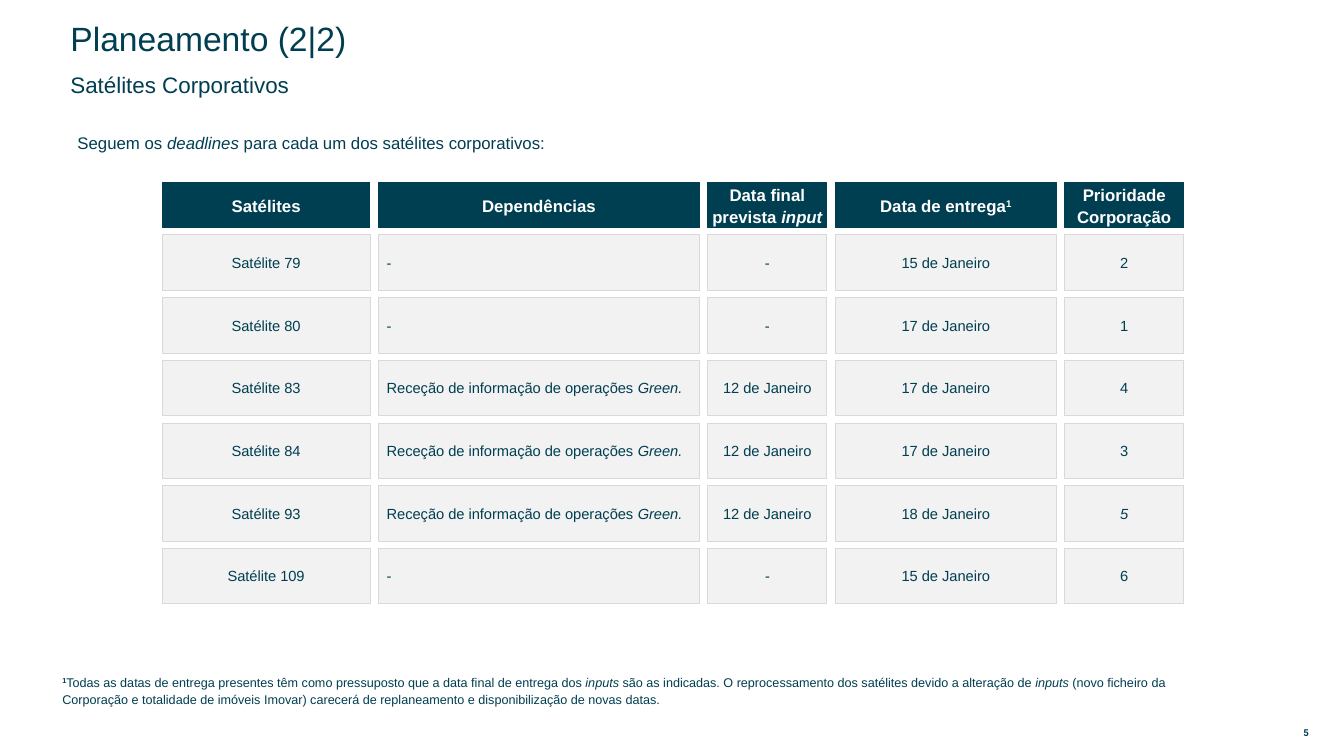
from pptx import Presentation
from pptx import util as u
from pptx.dml.color import RGBColor
from pptx.enum import shapes, text

LEFT, MID = text.PP_ALIGN.LEFT, text.PP_ALIGN.CENTER
NAVY, WHITE, PALE, GREY = "003E51", "FFFFFF", "F2F2F2", "D9D9D9"


def color(code):
    return RGBColor.from_string(code)


class Page:
    face = "Arial"

    def __init__(self, deck):
        self.wide, self.high = deck.slide_width, deck.slide_height
        self.items = deck.slides.add_slide(deck.slide_layouts[6]).shapes

    def place(self, left, top, width, height):
        return (round(self.wide * left / 100), round(self.high * top / 100),
                round(self.wide * width / 100), round(self.high * height / 100))

    def letter(self, shape, words, size, ink=NAVY, bold=False, align=LEFT,
               space=1.0, pad=(0.1, 0.05), face=None, mid=True):
        frame = shape.text_frame
        frame.word_wrap = True
        frame.vertical_anchor = text.MSO_ANCHOR.MIDDLE if mid else text.MSO_ANCHOR.TOP
        frame.margin_left = frame.margin_right = u.Inches(pad[0])
        frame.margin_top = frame.margin_bottom = u.Inches(pad[1])
        para = frame.paragraphs[0]
        para.alignment, para.line_spacing = align, space
        font = para.font
        font.name, font.size, font.bold = face or self.face, u.Pt(size), bold
        font.color.rgb = color(ink)
        for i, part in enumerate(words.split("*")):
            for j, piece in enumerate(part.split("^")):
                if piece:
                    run = para.add_run()
                    run.text = piece
                    if i % 2:
                        run.font.italic = True
                    if j % 2:
                        run.font.bold = True
                        run.font._element.set("baseline", "30000")

    def label(self, spot, words, size, **style):
        self.letter(self.items.add_textbox(*self.place(*spot)), words, size, **style)

    def box(self, spot, words, size, fill, edge, weight, **style):
        shape = self.items.add_shape(shapes.MSO_SHAPE.RECTANGLE, *self.place(*spot))
        shape.shadow.inherit = False
        shape.fill.solid()
        shape.fill.fore_color.rgb = color(fill)
        shape.line.color.rgb = color(edge)
        shape.line.width = u.Pt(weight)
        self.letter(shape, words, size, **style)

    def grid(self, left, gap, cols, rows):
        for name, width, align, pad, values in cols:
            self.box((left, 24.13, width, 6), name, 12, NAVY, NAVY, 0.75,
                     ink=WHITE, bold=True, align=MID, space=1.1, pad=(0.04, 0.04))
            for i, value in enumerate(values):
                self.box((left, 31.07 + rows * i, width, 7.33), value, 10.5,
                         PALE, GREY, 0.5, align=align, pad=(pad, 0.04))
            left += width + gap


def main():
    deck = Presentation()
    deck.slide_width, deck.slide_height = u.Inches(13.33), u.Inches(7.5)
    page = Page(deck)
    page.label((4.5, 3.6, 59.64, 3.47), "Planeamento (2|2)", 24, space=0.9)
    page.label((4.5, 9.73, 57.46, 3.47), "Satélites Corporativos", 16, space=0.9)
    page.label((5.03, 16.93, 91.15, 5.87),
               "Seguem os *deadlines* para cada um dos satélites corporativos:",
               12, mid=False)

    green = "Receção de informação de operações *Green.*"
    date = "12 de Janeiro"
    cols = [
        ("Satélites", 15.45, MID, 0.04,
         [f"Satélite {n}" for n in (79, 80, 83, 84, 93, 109)]),
        ("Dependências", 23.86, LEFT, 0.08, ["-", "-", green, green, green, "-"]),
        ("Data final prevista *input*", 8.85, MID, 0.12,
         ["-", "-", date, date, date, "*-*"]),
        ("Data de entrega^1^", 16.43, MID, 0.12,
         [f"{day} de Janeiro" for day in (15, 17, 17, 17, 18, 15)]),
        ("Prioridade Corporação", 8.85, MID, 0.12, ["2", "1", "4", "3", "*5*", "6"]),
    ]
    page.grid(12.08, 0.64, cols, 8.29)

    page.label((3.9, 88.4, 88.22, 5.6),
               "^1^Todas as datas de entrega presentes têm como pressuposto que a data "
               "final de entrega dos *inputs* são as indicadas. O reprocessamento dos "
               "satélites devido a alteração de *inputs *(novo ficheiro da Corporação e "
               "totalidade de imóveis Imovar) carecerá de replaneamento e "
               "disponibilização de novas datas.", 9, space=1.1, mid=False)
    page.label((95.5, 95.87, 3.38, 2.13), "5", 6.8, bold=True, align=MID,
               pad=(0.06, 0.03), face="Roboto")
    deck.save("out.pptx")


if __name__ == "__main__":
    main()
